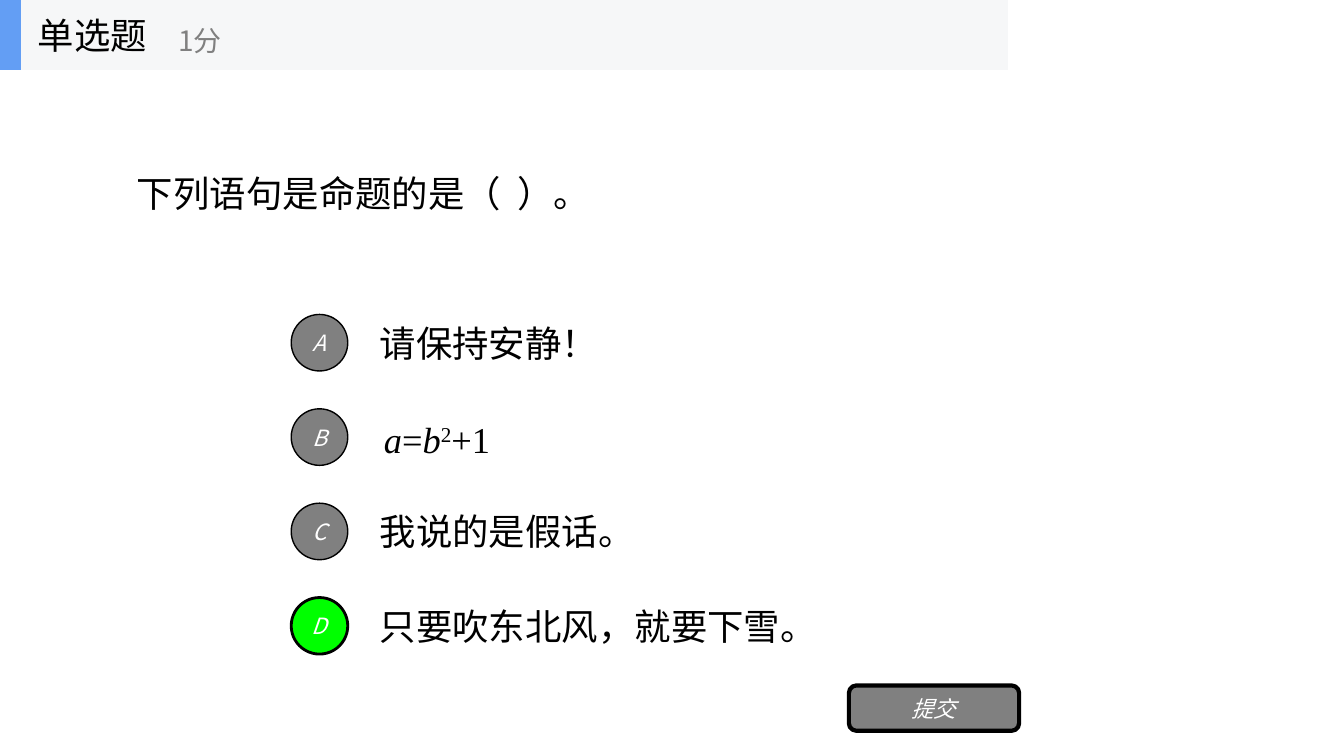
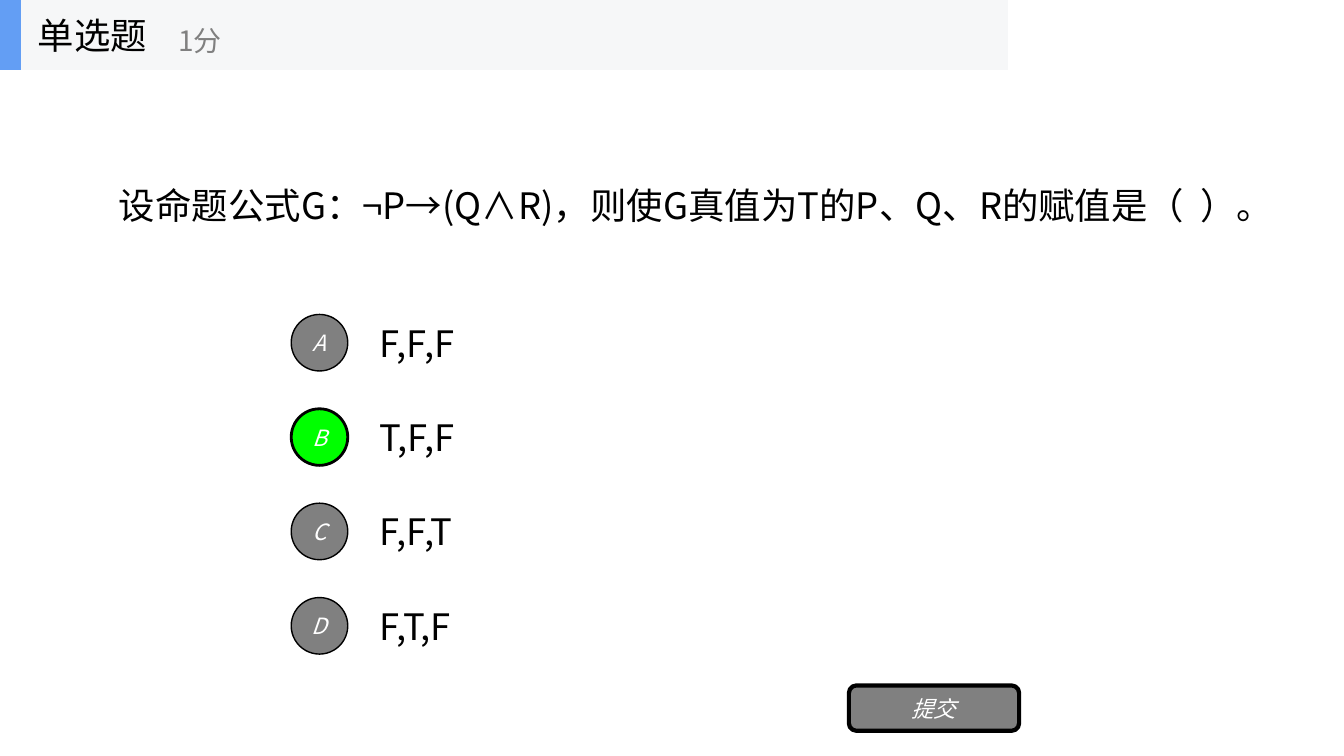
"""Build two single-choice quiz slides with a shared header, options and submit button."""
from dataclasses import dataclass
from typing import NamedTuple

from pptx import Presentation
from pptx.dml.color import RGBColor as Color
from pptx.enum.shapes import MSO_SHAPE as Preset
from pptx.enum.text import MSO_ANCHOR as Anchor, PP_ALIGN as Align
from pptx.oxml.ns import qn
from pptx.shapes.autoshape import Shape
from pptx.shapes.shapetree import GroupShapes, SlideShapes
from pptx.util import Pt

Shapes = SlideShapes | GroupShapes


@dataclass(frozen=True)
class Theme:
    """Colours, fonts and type sizes of the deck."""
    ink: Color = Color(0x00, 0x00, 0x00)
    muted: Color = Color(0x80, 0x80, 0x80)
    light: Color = Color(0xFF, 0xFF, 0xFF)
    band: Color = Color(0xF6, 0xF7, 0xF8)
    accent: Color = Color(0x63, 0x9E, 0xF4)
    correct: Color = Color(0x00, 0xFF, 0x00)
    sans: str = "Noto Sans CJK SC"
    serif: str = "Times New Roman"
    body: float = 26
    score: float = 20
    label: float = 16


class Area(NamedTuple):
    """A rectangle in points."""
    left: float
    top: float
    width: float
    height: float


class Span(NamedTuple):
    """A piece of text with its own style."""
    text: str
    italic: bool = False
    raised: bool = False


@dataclass(frozen=True)
class Option:
    """An answer and the format of its text."""
    spans: tuple[Span, ...]
    font: str
    shift_x: float = 0
    shift_y: float = 0


@dataclass(frozen=True)
class Question:
    """A question with its options and the correct letter."""
    text: str
    area: Area
    options: tuple[Option, ...]
    answer: str


THEME = Theme()
LETTERS = "ABCD"
FIRST_CENTRE, ROW_PITCH = 244.8, 67.4
CIRCLE_LEFT, CIRCLE_SIZE = 208, 40.4
OPTION_LEFT, OPTION_WIDTH, OPTION_HEIGHT = 264.2, 504, 50.4
HEADER_HEIGHT = 50
BAND = Area(0, 0, 720, HEADER_HEIGHT)
ACCENT = Area(0, 0, 15, HEADER_HEIGHT)
TITLE = Area(20, 0, 150, HEADER_HEIGHT)
SCORE = Area(120.4, 8.8, 180, 40)
SUBMIT = Area(606.4, 489.6, 121.6, 32.4)


def plain(text: str) -> Option:
    """Make an option of plain sans text."""
    return Option((Span(text),), THEME.sans)


QUESTIONS = (
    Question(
        "下列语句是命题的是（  ）。",
        Area(90.8, 53.4, 576, 168.4),
        (
            plain("请保持安静！"),
            Option(
                (Span("a", italic=True), Span("="), Span("b", italic=True),
                 Span("2", raised=True), Span("+1")),
                THEME.serif, shift_x=3, shift_y=1.2,
            ),
            plain("我说的是假话。"),
            plain("只要吹东北风，就要下雪。"),
        ),
        "D",
    ),
    Question(
        "设命题公式G：¬P→(Q∧R)，则使G真值为T的P、Q、R的赋值是（  ）。",
        Area(77.8, 61.9, 838, 168.4),
        tuple(map(plain, ("F,F,F", "T,F,F", "F,F,T", "F,T,F"))),
        "B",
    ),
)


def write(box: Shape, *spans: Span, size: float = THEME.body, color: Color = THEME.ink,
          font: str = THEME.sans, align: Align = Align.LEFT) -> None:
    """Write one vertically centred paragraph into a box."""
    frame = box.text_frame
    frame.word_wrap = True
    frame.vertical_anchor = Anchor.MIDDLE
    para = frame.paragraphs[0]
    para.alignment = align
    for part in spans:
        span = para.add_run()
        span.text = part.text
        span.font.size = Pt(size)
        span.font.name = font
        span.font.italic = part.italic
        span.font.color.rgb = color
        properties = span._r.get_or_add_rPr()
        east_asian = properties.makeelement(qn("a:ea"), {"typeface": font})
        properties.find(qn("a:latin")).addnext(east_asian)
        if part.raised:
            properties.set("baseline", "30000")


def add_text(shapes: Shapes, area: Area, *spans: Span, **style) -> None:
    """Add a text box holding the given spans."""
    write(shapes.add_textbox(*map(Pt, area)), *spans, **style)


def add_block(shapes: Shapes, preset: Preset, area: Area, fill: Color,
              line_width: float = 0) -> Shape:
    """Add a filled shape, outlined when a line width is given."""
    block = shapes.add_shape(preset, *map(Pt, area))
    block.shadow.inherit = False
    block.fill.solid()
    block.fill.fore_color.rgb = fill
    if line_width:
        block.line.color.rgb = THEME.ink
        block.line.width = Pt(line_width)
    else:
        block.line.fill.background()
    return block


def add_button(shapes: Shapes, preset: Preset, area: Area, text: str,
               fill: Color, line_width: float) -> None:
    """Add a shape with a centred italic label."""
    button = add_block(shapes, preset, area, fill, line_width)
    frame = button.text_frame
    frame.margin_left = frame.margin_right = frame.margin_top = frame.margin_bottom = 0
    write(button, Span(text, italic=True), size=THEME.label, color=THEME.light,
          align=Align.CENTER)


def add_header(shapes: SlideShapes) -> None:
    """Add the grouped band with question type and score."""
    header = shapes.add_group_shape().shapes
    add_block(header, Preset.RECTANGLE, BAND, THEME.band)
    add_block(header, Preset.RECTANGLE, ACCENT, THEME.accent)
    add_text(header, TITLE, Span("单选题"))
    add_text(header, SCORE, Span("1分"), size=THEME.score, color=THEME.muted)


def add_option(shapes: SlideShapes, row: int, option: Option, is_correct: bool) -> None:
    """Add an answer with its lettered circle."""
    centre = FIRST_CENTRE + row * ROW_PITCH
    text_area = Area(OPTION_LEFT + option.shift_x,
                     centre - OPTION_HEIGHT / 2 + option.shift_y,
                     OPTION_WIDTH - option.shift_x, OPTION_HEIGHT)
    add_text(shapes, text_area, *option.spans, font=option.font)
    circle = Area(CIRCLE_LEFT, centre - CIRCLE_SIZE / 2, CIRCLE_SIZE, CIRCLE_SIZE)
    add_button(shapes, Preset.OVAL, circle, LETTERS[row],
               fill=THEME.correct if is_correct else THEME.muted,
               line_width=2 if is_correct else 1)


def add_question(shapes: SlideShapes, question: Question) -> None:
    """Add everything that belongs to one question."""
    add_text(shapes, question.area, Span(question.text))
    for row, option in enumerate(question.options):
        add_option(shapes, row, option, LETTERS[row] == question.answer)
    add_button(shapes, Preset.ROUNDED_RECTANGLE, SUBMIT, "提交",
               fill=THEME.muted, line_width=3)
    add_header(shapes)


def main() -> None:
    """Build and save the deck."""
    deck = Presentation()
    deck.slide_width, deck.slide_height = Pt(960), Pt(540)
    for question in QUESTIONS:
        page = deck.slides.add_slide(deck.slide_layouts[6])
        add_question(page.shapes, question)
    deck.save("out.pptx")


if __name__ == "__main__":
    main()
